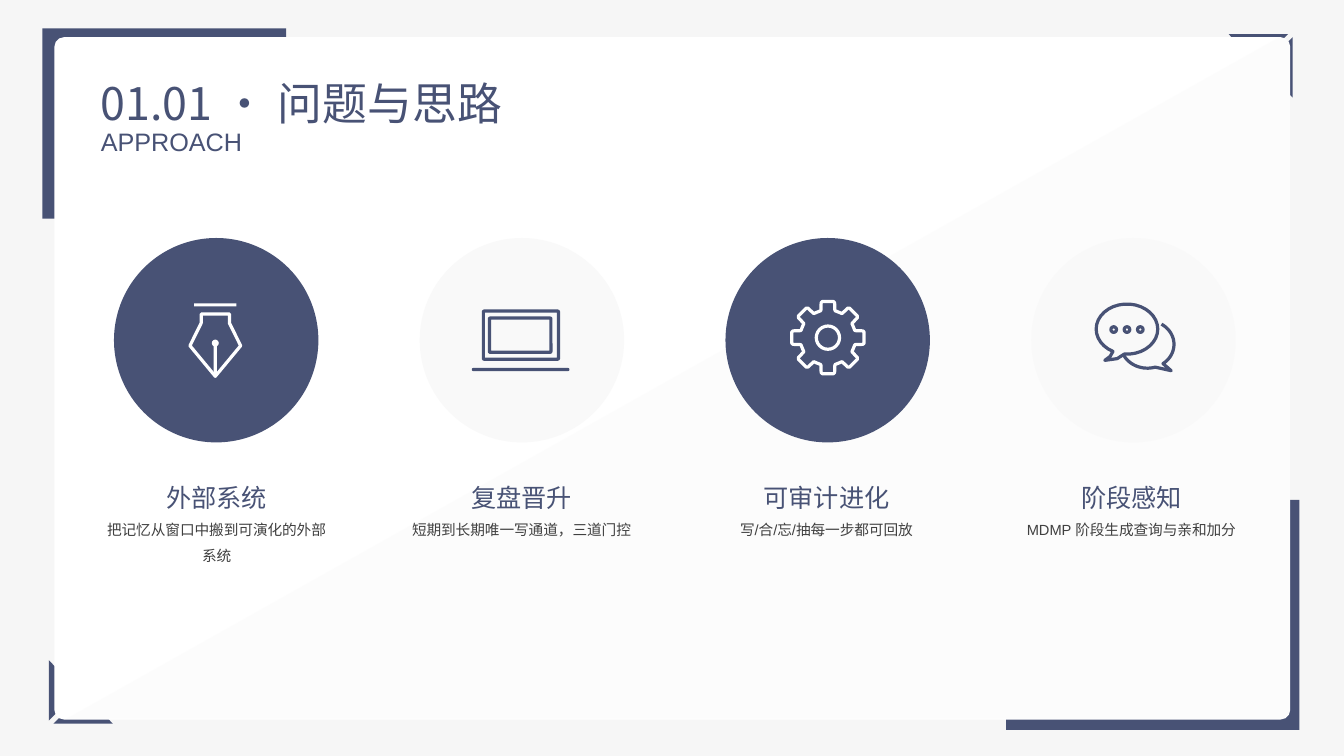
from dataclasses import dataclass
from math import cos, radians, sin

from lxml import etree
from pptx import Presentation
from pptx.dml.color import RGBColor
from pptx.enum import shapes, text
from pptx.oxml import ns
from pptx.util import Pt

KIND = shapes.MSO_SHAPE


@dataclass(frozen=True)
class Theme:
    navy: str = "485275"
    white: str = "FFFFFF"
    pale: str = "F9F9F9"
    shade: str = "F2F2F2"
    back: str = "F6F6F6"
    grey: str = "404040"
    title_font: str = "Noto Sans CJK SC"
    font: str = "Arial"
    title: float = 32
    heading: float = 18
    body: float = 10.5
    stroke: float = 2.3


def arc(cx, cy, rx, ry, start, end, steps=32):
    """Points on an ellipse; degrees run clockwise from the right."""
    angles = [radians(start + (end - start) * i / steps) for i in range(steps + 1)]
    return [(cx + rx * cos(a), cy + ry * sin(a)) for a in angles]


def add_run(p, words, font, size, color):
    r = p.add_run()
    r.text = words
    r.font.name = font
    r.font.size = Pt(size)
    r.font.color.rgb = RGBColor.from_string(color)
    ea = etree.SubElement(r.font._element, ns.qn("a:ea"))
    ea.set("typeface", font)
    r.font._element.find(ns.qn("a:latin")).addnext(ea)


class Deck:
    def __init__(self, theme):
        self.theme = theme
        self.prs = Presentation()
        self.prs.slide_width, self.prs.slide_height = Pt(960), Pt(540)
        self.s = self.prs.slides.add_slide(self.prs.slide_layouts[5])
        fill = self.s.background.fill
        fill.solid()
        fill.fore_color.rgb = RGBColor.from_string(theme.back)

    def paint(self, sp, fill, line, alpha):
        sp.shadow.inherit = False
        if fill:
            sp.fill.solid()
            sp.fill.fore_color.rgb = RGBColor.from_string(fill)
        else:
            sp.fill.background()
        if alpha:
            color = sp.fill._xPr.find(ns.qn("a:solidFill"))[0]
            etree.SubElement(color, ns.qn("a:alpha")).set("val", str(alpha * 1000))
        if line:
            sp.line.color.rgb = RGBColor.from_string(line)
            sp.line.width = Pt(self.theme.stroke)
            etree.SubElement(sp.line._ln, ns.qn("a:round"))
        else:
            sp.line.fill.background()
        return sp

    def shape(self, kind, x, y, w, h, fill=None, line=None, adj=None):
        sp = self.s.shapes.add_shape(kind, Pt(x), Pt(y), Pt(w), Pt(h))
        if adj is not None:
            sp.adjustments[0] = adj
        return self.paint(sp, fill, line, None)

    def disc(self, cx, cy, d, fill=None, line=None):
        return self.shape(KIND.OVAL, cx - d / 2, cy - d / 2, d, d, fill, line)

    def outline(self, *contours, fill=None, line=None, alpha=None, close=True):
        paths = [[(Pt(x), Pt(y)) for x, y in c] for c in contours]
        builder = self.s.shapes.build_freeform(*paths[0][0], scale=1.0)
        for i, points in enumerate(paths):
            if i:
                builder.move_to(*points[0])
            builder.add_line_segments(points[1:], close=close)
        return self.paint(builder.convert_to_shape(), fill, line, alpha)

    def title(self, words, subtitle):
        t = self.theme
        sp = self.s.shapes.title
        self.s.shapes._spTree.append(sp._element)
        sp.left, sp.top, sp.width, sp.height = Pt(64.8), Pt(54.7), Pt(414), Pt(46)
        tf = sp.text_frame
        tf.word_wrap = True
        tf.auto_size = text.MSO_AUTO_SIZE.NONE
        tf.vertical_anchor = text.MSO_ANCHOR.TOP
        p = tf.paragraphs[0]
        p.alignment = text.PP_ALIGN.LEFT
        p.line_spacing = 0.9
        add_run(p, words, t.title_font, t.title, t.navy)
        p.add_line_break()
        add_run(p, subtitle, t.font, t.heading, t.navy)

    def caption(self, x, heading, body):
        t = self.theme
        box = self.s.shapes.add_textbox(Pt(x), Pt(329.8), Pt(172.8), Pt(116.6))
        tf = box.text_frame
        tf.word_wrap = True
        rows = ((heading, t.heading, t.navy), (body, t.body, t.grey))
        for i, (words, size, color) in enumerate(rows):
            p = tf.add_paragraph() if i else tf.paragraphs[0]
            p.alignment = text.PP_ALIGN.CENTER
            p.line_spacing = 1.5
            add_run(p, words, t.font, size, color)


def draw_frame(deck):
    t = deck.theme
    deck.shape(KIND.RECTANGLE, 30.2, 20.2, 174.2, 136, t.navy)
    deck.shape(KIND.RECTANGLE, 718.6, 357.1, 209.5, 164.2, t.navy)
    corner = [
        [(45.4, 482.4), (45.4, 504), (34.9, 514.8), (34.9, 471.6)],
        [(80.6, 517), (38.2, 517), (49, 506.2), (70.6, 506.2)],
    ]
    opposite = [[(958.3 - x, 541.4 - y) for x, y in c] for c in corner]
    for contours in (corner, opposite):
        deck.outline(*contours, fill=t.navy)
    deck.shape(KIND.ROUNDED_RECTANGLE, 38.9, 26.6, 882.7, 487.4, t.white, adj=0.014)
    half = [(47.5, 513.4), (913.7, 26.6)]
    half += arc(914.8, 33.4, 6.8, 6.8, -90, 0, 8) + arc(914.8, 506.6, 6.8, 6.8, 0, 90, 8)
    deck.outline(half, fill=t.shade, alpha=16)


def draw_pen(deck, color):
    cx = 153.8
    deck.shape(KIND.RECTANGLE, cx - 1.1, 243.4, 2.2, 24.5, color)
    deck.disc(cx, 245.1, 5, color)
    deck.shape(KIND.RECTANGLE, cx - 15.1, 216.7, 30.2, 2.2, color)
    side = [(18.1, 247), (10.1, 230.8), (10.1, 224.3)]
    left = [(cx - x, y) for x, y in side]
    right = [(cx + x, y) for x, y in reversed(side)]
    deck.outline([(cx, 268.8)] + left + right, line=color)


def draw_laptop(deck, color):
    bar = KIND.ROUNDED_RECTANGLE
    deck.shape(bar, 345.3, 222.2, 53.7, 34.4, line=color, adj=0.02)
    deck.shape(bar, 349.6, 227.2, 43.9, 24.4, line=color, adj=0.02)
    deck.shape(bar, 337, 262.8, 69.8, 2.3, color, adj=0.5)


def draw_gear(deck, color):
    cx, cy = 591.4, 241.2
    tooth = [(-5, -19.3), (-4.8, -25), (-4, -25.8), (4, -25.8), (4.8, -25), (5, -19.3)]
    rim = []
    for k in range(8):
        c, s = cos(radians(45 * k)), sin(radians(45 * k))
        rim += [(cx + x * c - y * s, cy + x * s + y * c) for x, y in tooth]
    deck.outline(rim, line=color)
    deck.disc(cx, cy, 16.6, line=color)


def draw_chat(deck, color):
    tail = [(798, 256.2), (789.2, 257.4), (793, 254.6)]
    deck.outline(arc(805, 235.1, 22, 17.9, 117, 455) + tail, line=color)
    rear = (819.6, 246, 19, 17)
    deck.outline(arc(*rear, -58, 54) + [(836.6, 264.8)] + arc(*rear, 73, 152),
                 line=color, close=False)
    for k in (-1, 0, 1):
        deck.disc(805 + 9.5 * k, 235.4, 4, line=color)


def main():
    deck = Deck(Theme())
    t = deck.theme
    draw_frame(deck)
    deck.title("01.01 · 问题与思路", "APPROACH")
    topics = [
        (draw_pen, "外部系统", "把记忆从窗口中搬到可演化的外部系统"),
        (draw_laptop, "复盘晋升", "短期到长期唯一写通道，三道门控"),
        (draw_gear, "可审计进化", "写/合/忘/抽每一步都可回放"),
        (draw_chat, "阶段感知", "MDMP 阶段生成查询与亲和加分"),
    ]
    for i, (draw_icon, heading, body) in enumerate(topics):
        disc, icon = (t.pale, t.navy) if i % 2 else (t.navy, t.white)
        deck.disc(154.4 + 218.4 * i, 243, 146, disc)
        draw_icon(deck, icon)
        deck.caption(68.4 + 217.8 * i, heading, body)
    deck.prs.save("out.pptx")


if __name__ == "__main__":
    main()
